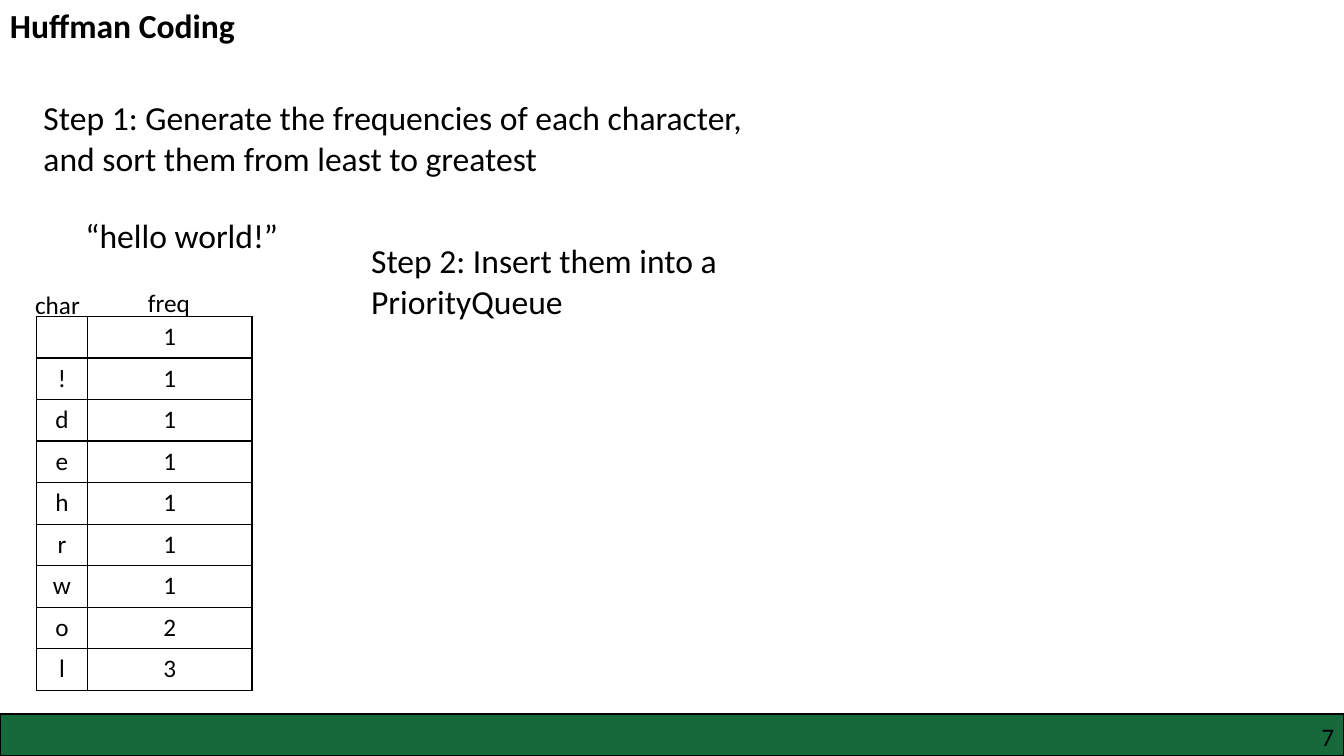
from lxml.etree import SubElement
from pptx import Presentation
from pptx.dml.color import RGBColor
from pptx.enum.shapes import MSO_SHAPE
from pptx.enum.text import MSO_ANCHOR, PP_ALIGN
from pptx.oxml.ns import qn
from pptx.util import Pt

BLACK = RGBColor(0x00, 0x00, 0x00)
WHITE = RGBColor(0xFF, 0xFF, 0xFF)
GREEN = RGBColor(0x15, 0x69, 0x3B)

WIDTH, HEIGHT = 960, 540
BAR_HEIGHT = 30
ROW_HEIGHT = 29.7
FREQUENCIES = [("", 1), ("!", 1), ("d", 1), ("e", 1), ("h", 1),
               ("r", 1), ("w", 1), ("o", 2), ("l", 3)]


class SlideBuilder:
    """Draws styled elements on one slide, with lengths in points."""

    def __init__(self, page, font="Calibri"):
        self.page = page
        self.font = font

    def style(self, para, size, align=PP_ALIGN.LEFT, bold=False):
        para.alignment = align
        formats = {"name": self.font, "size": Pt(size), "bold": bold}
        for name, value in formats.items():
            setattr(para.font, name, value)
        para.font.color.rgb = BLACK

    def text(self, words, left, top, width, height, size=24, wrap=False,
             inset=None, **formats):
        box = self.page.shapes.add_textbox(Pt(left), Pt(top), Pt(width), Pt(height))
        frame = box.text_frame
        frame.word_wrap = wrap
        if inset is not None:
            for side in ("left", "top", "right", "bottom"):
                setattr(frame, f"margin_{side}", Pt(inset))
        para = frame.paragraphs[0]
        para.add_run().text = words
        self.style(para, size, **formats)

    def bar(self, left, top, width, height):
        bar = self.page.shapes.add_shape(
            MSO_SHAPE.RECTANGLE, Pt(left), Pt(top), Pt(width), Pt(height))
        bar.shadow.inherit = False
        bar.fill.solid()
        bar.fill.fore_color.rgb = GREEN
        bar.line.color.rgb = BLACK
        bar.line.width = Pt(1)

    def borders(self, cell):
        properties = cell._tc.get_or_add_tcPr()
        for side in ("lnL", "lnR", "lnT", "lnB"):
            line = SubElement(properties, qn(f"a:{side}"), w=str(Pt(1)))
            fill = SubElement(line, qn("a:solidFill"))
            SubElement(fill, qn("a:srgbClr"), val=str(BLACK))

    def table(self, rows, left, top, column_widths, row_height, size=18):
        table = self.page.shapes.add_table(
            len(rows), len(column_widths), Pt(left), Pt(top),
            Pt(sum(column_widths)), Pt(row_height * len(rows))).table
        table.first_row = table.horz_banding = False
        for column, width in zip(table.columns, column_widths):
            column.width = Pt(width)
        for row, values in zip(table.rows, rows):
            row.height = Pt(row_height)
            for cell, value in zip(row.cells, values):
                self.borders(cell)
                cell.fill.solid()
                cell.fill.fore_color.rgb = WHITE
                cell.vertical_anchor = MSO_ANCHOR.TOP
                cell.text = str(value)
                self.style(cell.text_frame.paragraphs[0], size, PP_ALIGN.CENTER)


def main():
    deck = Presentation()
    deck.slide_width, deck.slide_height = Pt(WIDTH), Pt(HEIGHT)
    page = deck.slides.add_slide(deck.slide_layouts[6])
    slide = SlideBuilder(page)

    slide.bar(0, HEIGHT - BAR_HEIGHT, WIDTH, BAR_HEIGHT)
    slide.text("7", 732, 515, 221, 22, size=18, wrap=True, inset=0,
               align=PP_ALIGN.RIGHT)
    slide.text("Huffman Coding", 0, 0, 203, 36, bold=True)
    slide.text("Step 1: Generate the frequencies of each character, "
               "and sort them from least to greatest", 24, 66, 540, 65.5, wrap=True)
    slide.text("“hello world!”", 54, 150, 160, 36)
    slide.table(FREQUENCIES, 26, 226, (36.5, 117.5), ROW_HEIGHT)
    slide.text("char", 18, 203, 50, 29, size=18)
    slide.text("freq", 98.6, 202, 46, 29, size=18)
    slide.text("Step 2: Insert them into a PriorityQueue",
               258, 168, 360, 65.5, wrap=True)

    deck.save("out.pptx")


if __name__ == "__main__":
    main()
